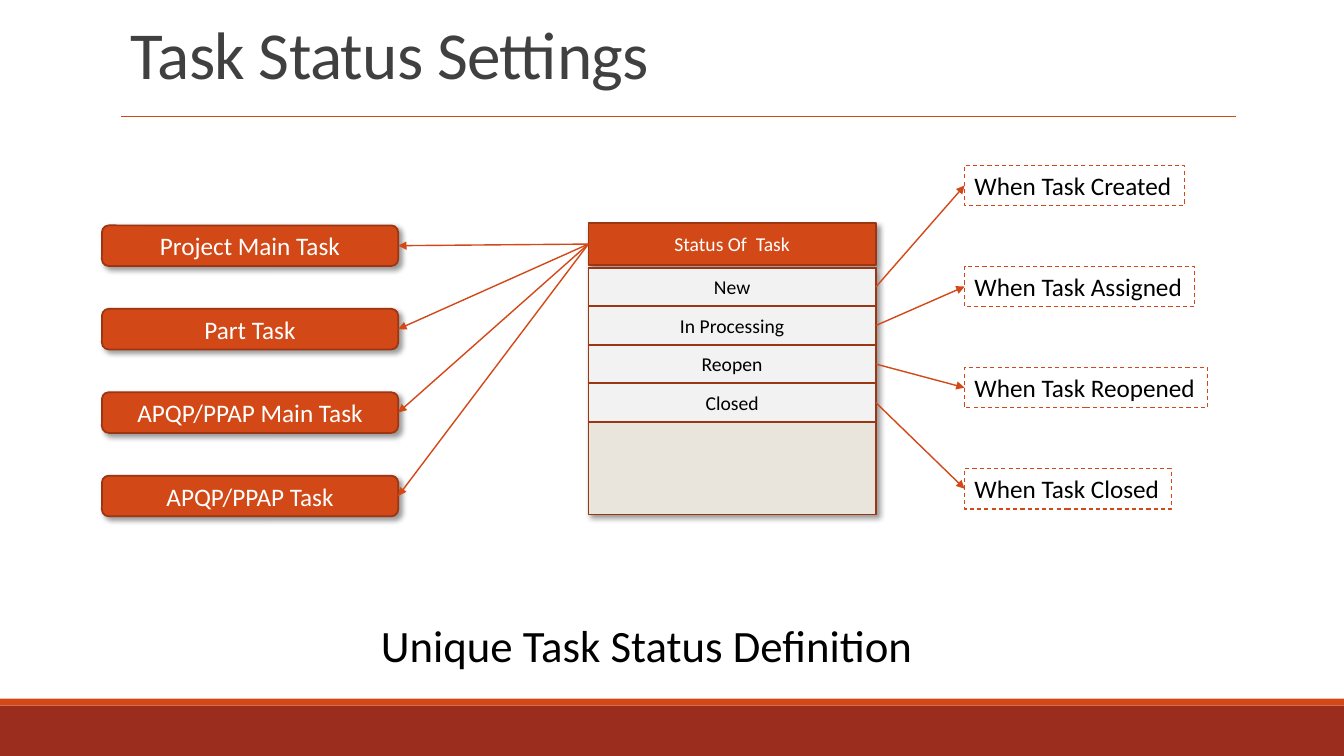
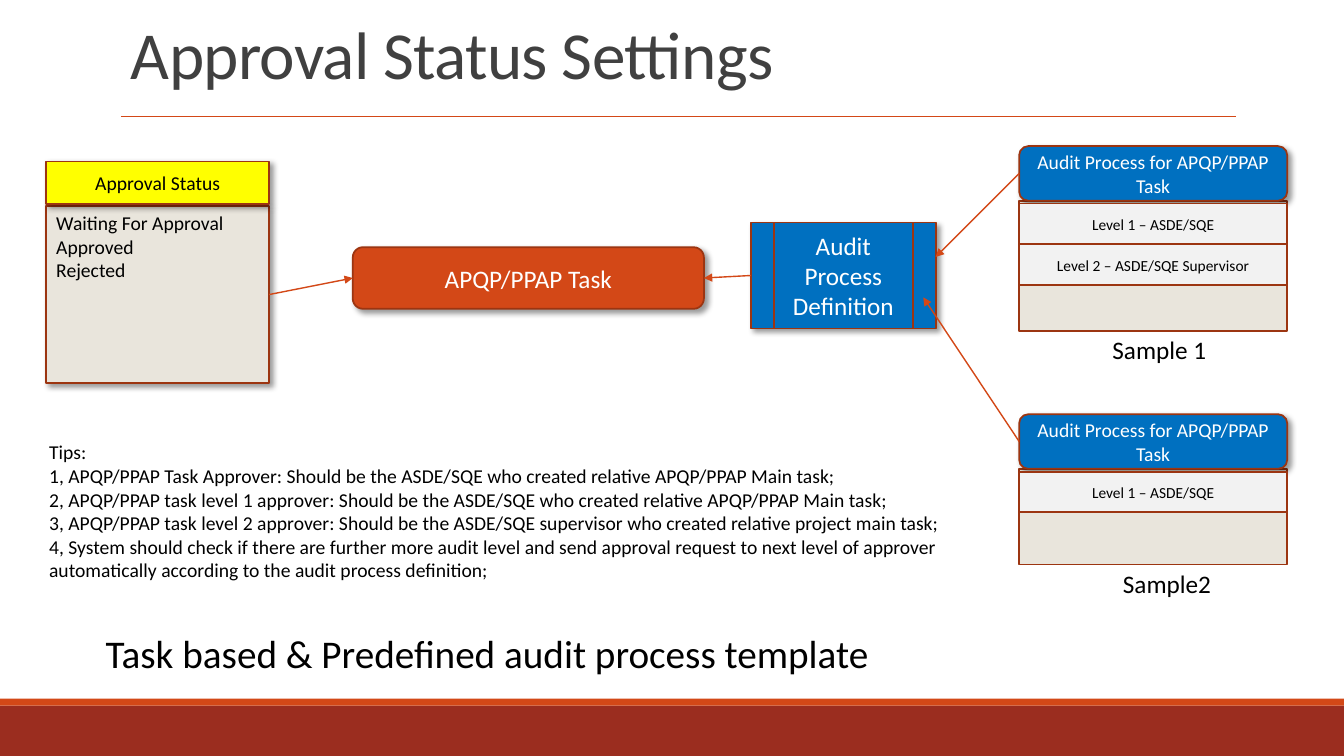
from dataclasses import dataclass

from lxml import etree
from pptx import Presentation
from pptx.dml.color import RGBColor
from pptx.enum import dml, shapes, text
from pptx.oxml import ns
from pptx.util import Pt

RECT = shapes.MSO_SHAPE.RECTANGLE
ROUND = shapes.MSO_SHAPE.ROUNDED_RECTANGLE
PROCESS = shapes.MSO_SHAPE.FLOWCHART_PREDEFINED_PROCESS
LEFT, RIGHT = 1, 3


@dataclass(frozen=True)
class Theme:
    font: str = "Calibri"
    accent: str = "D34817"
    edge: str = "9C3511"
    band: str = "9B2D1F"
    blue: str = "0070C0"
    yellow: str = "FFFF00"
    panel: str = "E9E5DC"
    row: str = "F2F2F2"
    heading: str = "404040"
    dark: str = "000000"
    light: str = "FFFFFF"
    title_size: float = 48
    message_size: float = 32
    template_size: float = 28
    box_size: float = 18
    body_size: float = 14
    level_size: float = 11


T = Theme()


def rgb(value):
    return RGBColor.from_string(value)


def add_xml(parent, tag, **attrs):
    return etree.SubElement(parent, ns.qn(tag), {k: str(v) for k, v in attrs.items()})


def write(sp, content, size=T.box_size, color=T.dark, align="CENTER",
          anchor="MIDDLE", wrap=True, grow=False, spacing=None, track=None):
    tf = sp.text_frame
    tf.word_wrap = wrap
    tf.vertical_anchor = text.MSO_ANCHOR[anchor]
    if grow:
        tf.auto_size = text.MSO_AUTO_SIZE.SHAPE_TO_FIT_TEXT
    for i, line in enumerate(content.split("\n")):
        p = tf.add_paragraph() if i else tf.paragraphs[0]
        p.alignment = text.PP_ALIGN[align]
        if spacing:
            p.line_spacing = spacing
        r = p.add_run()
        r.text = line
        r.font.name = T.font
        r.font.size = Pt(size)
        r.font.color.rgb = rgb(color)
        if track:
            r.font._element.set("spc", str(track))


def add_box(parent, x, y, w, h, fill=None, line=T.edge, kind=RECT,
            width=1.25, dashed=False, shadow=False):
    sp = parent.shapes.add_shape(kind, Pt(x), Pt(y), Pt(w), Pt(h))
    sp.shadow.inherit = False
    if fill:
        sp.fill.solid()
        sp.fill.fore_color.rgb = rgb(fill)
    else:
        sp.fill.background()
    if line:
        sp.line.color.rgb = rgb(line)
        sp.line.width = Pt(width)
        if dashed:
            sp.line.dash_style = dml.MSO_LINE.DASH
    else:
        sp.line.fill.background()
    if shadow:
        effects = sp._element.spPr.find(ns.qn("a:effectLst"))
        outer = add_xml(effects, "a:outerShdw", blurRad=Pt(4), dist=Pt(3),
                        dir=45 * 60000, algn="tl", rotWithShape=0)
        add_xml(add_xml(outer, "a:srgbClr", val=T.dark), "a:alpha", val=40000)
    return sp


def add_label(s, x, y, w, h, content, **fmt):
    sp = s.shapes.add_textbox(Pt(x), Pt(y), Pt(w), Pt(h))
    write(sp, content, **{"align": "LEFT", "anchor": "TOP", "grow": True, **fmt})


def add_line(s, start, end, arrow=True):
    c = s.shapes.add_connector(shapes.MSO_CONNECTOR.STRAIGHT, 0, 0, 0, 0)
    c.begin_x, c.begin_y = map(Pt, start)
    c.end_x, c.end_y = map(Pt, end)
    c.line.color.rgb = rgb(T.accent)
    c.line.width = Pt(1)
    if arrow:
        add_xml(c.line._get_or_add_ln(), "a:tailEnd", type="triangle")
    add_xml(c._element.spPr, "a:effectLst")
    return c


def join(s, source, side, target, target_side=None):
    c = add_line(s, (0, 0), (0, 0) if target_side is not None else target)
    c.begin_connect(source, side)
    if target_side is not None:
        c.end_connect(target, target_side)


def add_action(s, x, y, w, h, content, fill=T.accent, kind=ROUND):
    sp = add_box(s, x, y, w, h, fill, kind=kind, shadow=True)
    write(sp, content, color=T.light)
    return sp


def add_panel(s, x, y, w, head_h, title, body_y, body_h, rows=(), row_y=0, row_h=0,
              step=0, fill=T.accent, color=T.light, kind=RECT,
              row_size=T.body_size, shadow=True):
    group = s.shapes.add_group_shape()
    body = add_box(group, x, body_y, w, body_h, T.panel, shadow=shadow)
    head = add_box(group, x, y, w, head_h, fill, kind=kind, shadow=True)
    write(head, title, size=T.body_size, color=color)
    cells = []
    for i, row in enumerate(rows):
        sp = add_box(group, x, row_y + i * step, w, row_h, T.row)
        write(sp, row, size=row_size)
        cells.append(sp)
    return head, body, cells


def add_sample(s, y, body_h, levels):
    head_h = 39
    body_y = y + head_h
    head, _, _ = add_panel(
        s, 728, y, 191.5, head_h, "Audit Process for APQP/PPAP Task", body_y, body_h,
        levels, row_y=body_y + 2, row_h=29, step=29.3, fill=T.blue, kind=ROUND,
        row_size=T.level_size, shadow=False)
    return head


def add_slide(prs, title):
    s = prs.slides.add_slide(prs.slide_layouts[6])
    add_box(s, 0, 504, 960, 36, T.band, line=None)
    add_box(s, 0, 499, 960, 5, T.accent, line=None)
    add_line(s, (86.4, 83), (882.7, 83), arrow=False)
    add_label(s, 86.4, 12.2, 792, 57.6, title, size=T.title_size, color=T.heading,
              anchor="BOTTOM", grow=False, spacing=0.85, track=-50)
    return s


def task_status(prs):
    s = add_slide(prs, "Task Status Settings")
    head, _, states = add_panel(
        s, 420.3, 159.2, 205.3, 30.3, "Status Of  Task", 191.3, 176.2,
        ["New", "In Processing", "Reopen", "Closed"],
        row_y=191.3, row_h=27.5, step=27.5)
    events = [("Created", 157), ("Assigned", 164.2), ("Reopened", 173.5), ("Closed", 147.6)]
    for i, (state, (event, w)) in enumerate(zip(states, events)):
        sp = add_box(s, 689, 118 + i * 72.2, w, 29, line=T.accent, width=0.75, dashed=True)
        write(sp, f"When Task {event}", align="LEFT", anchor="TOP", wrap=False, grow=True)
        join(s, state, RIGHT, sp, LEFT)
    tasks = ["Project Main Task", "Part Task", "APQP/PPAP Main Task", "APQP/PPAP Task"]
    for i, task in enumerate(tasks):
        sp = add_action(s, 72.8, 161 + i * 59.6, 211.6, 29, task)
        join(s, head, LEFT, sp, RIGHT)
    add_label(s, 265, 437.8, 399, 46, "Unique Task Status Definition",
              size=T.message_size, wrap=False)


def approval_status(prs):
    s = add_slide(prs, "Approval Status Settings")
    _, statuses, _ = add_panel(s, 33.1, 115.3, 159.2, 30.3, "Approval Status", 147.4, 126,
                               fill=T.yellow, color=T.dark)
    write(statuses, "Waiting For Approval\nApproved\nRejected",
          size=T.body_size, align="LEFT", anchor="TOP")
    task = add_action(s, 252, 176.6, 250.8, 44, "APQP/PPAP Task")
    audit = add_action(s, 536.4, 159, 132, 75.6, "Audit Process Definition", T.blue, PROCESS)
    join(s, statuses, RIGHT, task, LEFT)
    join(s, audit, LEFT, task, RIGHT)

    first = add_sample(s, 104.4, 92.9, ["Level 1 – ASDE/SQE", "Level 2 – ASDE/SQE Supervisor"])
    second = add_sample(s, 295.9, 68.4, ["Level 1 – ASDE/SQE"])
    join(s, first, LEFT, (668.3, 183.6))
    join(s, second, LEFT, (659.5, 212.4))
    add_label(s, 787.5, 235, 82, 29, "Sample 1", wrap=False)
    add_label(s, 795, 402.5, 78.5, 29, "Sample2", wrap=False)

    add_label(s, 68.4, 445.7, 566, 41, "Task based & Predefined audit process template",
              size=T.template_size, wrap=False)
    tips = [
        "Tips:",
        "1, APQP/PPAP Task Approver: Should be the ASDE/SQE who created relative "
        "APQP/PPAP Main task;",
        "2, APQP/PPAP task level 1 approver: Should be the ASDE/SQE who created relative "
        "APQP/PPAP Main task;",
        "3, APQP/PPAP task level 2 approver: Should be the ASDE/SQE supervisor who created "
        "relative project main task;",
        "4, System should check if there are further more audit level and send approval "
        "request to next level of approver automatically according to the audit process "
        "definition;",
    ]
    add_label(s, 28, 311, 684, 108.7, "\n".join(tips), size=T.body_size)


def main():
    prs = Presentation()
    prs.slide_width, prs.slide_height = Pt(960), Pt(540)
    task_status(prs)
    approval_status(prs)
    prs.save("out.pptx")


if __name__ == "__main__":
    main()
